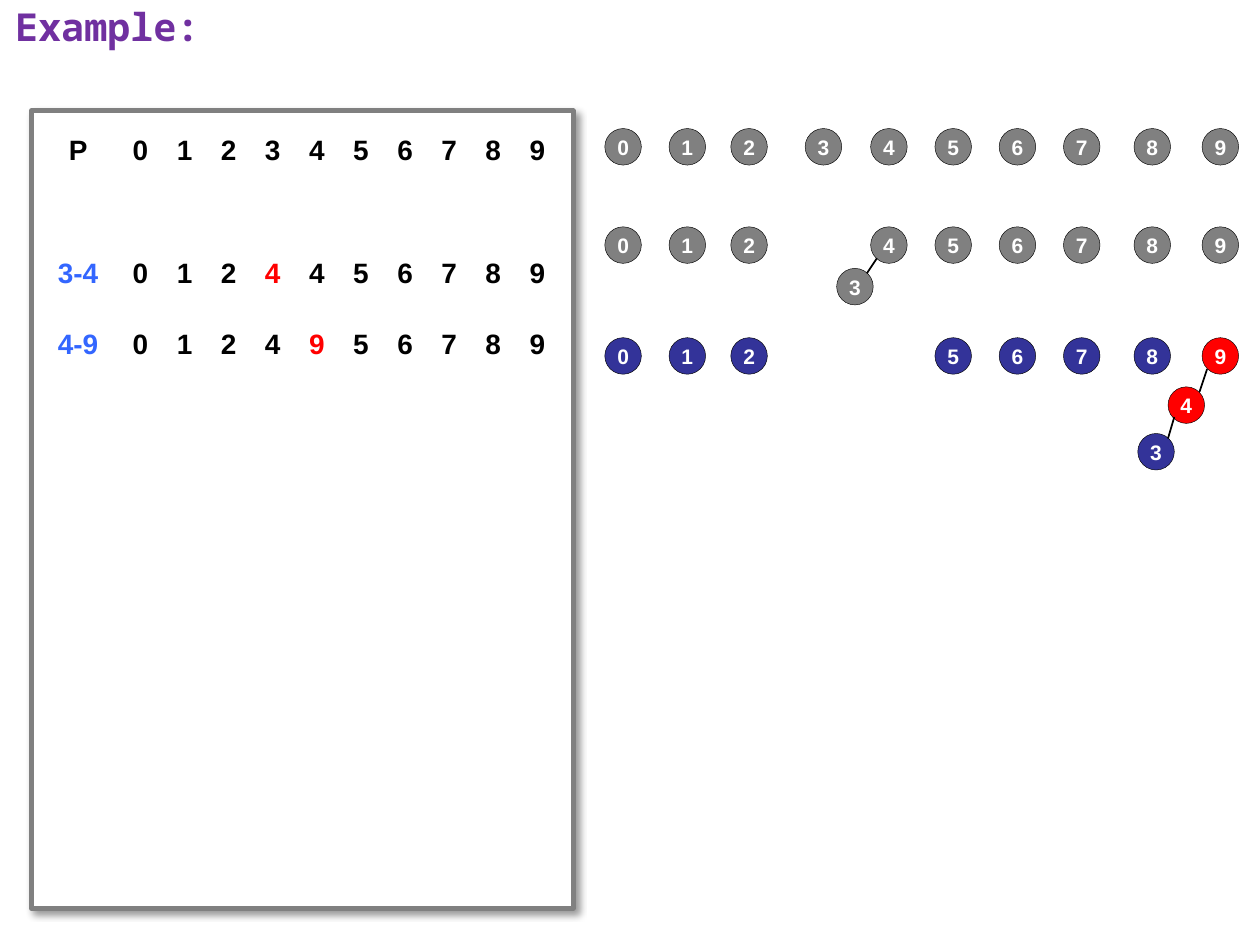
"""Build the quick-union example slide: parent table beside its forest of trees."""
import pptx
import pptx.util
import pptx.dml.color
import pptx.enum.shapes
import pptx.enum.text
import pptx.oxml
import pptx.oxml.ns

Inches, Pt = pptx.util.Inches, pptx.util.Pt
RGB = pptx.dml.color.RGBColor.from_string
ALIGN, ANCHOR = pptx.enum.text.PP_ALIGN, pptx.enum.text.MSO_ANCHOR
SHAPE = pptx.enum.shapes.MSO_SHAPE

THEME = {
    "title_font": "Noto Sans Mono", "font": "Arial",
    "title_size": 22, "table_size": 16, "node_size": 12,
    "title": "7030A0", "text": "000000", "union": "3366FF", "changed": "FF0000",
    "gray": "808080", "blue": "333399", "white": "FFFFFF",
}

TITLE = "Example:"
TABLE_ROWS = [
    ("P", "0123456789", None),
    None,
    ("3-4", "0124456789", 3),
    ("4-9", "0124956789", 4),
]
ROW_HEIGHTS = [0.57, 0.14, 0.57, 0.57]
COL_WIDTHS = [0.64] + [0.35] * 10

NODE = 0.29
NODE_X = [4.8, 5.31, 5.8, 6.39, 6.91, 7.42, 7.93, 8.44, 9, 9.54]
FORESTS = [
    {"top": 1.02, "color": "gray", "moved": {}, "changed": (), "edges": []},
    {"top": 1.8, "color": "gray", "moved": {3: (6.64, 2.13)}, "changed": (),
     "edges": [(6.88, 2.17, 6.96, 2.05)]},
    {"top": 2.68, "color": "blue", "moved": {4: (9.27, 3.07), 3: (9.03, 3.44)},
     "changed": (4, 9),
     "edges": [(9.27, 3.48, 9.32, 3.31), (9.52, 3.11, 9.58, 2.93)]},
]


def write(tf, text, *, size, color="text", font="font", align=ALIGN.CENTER):
    p = tf.paragraphs[0]
    p.alignment = align
    r = p.add_run()
    r.text = text
    r.font.name = THEME[font]
    r.font.size = Pt(THEME[size])
    r.font.bold = True
    r.font.color.rgb = RGB(THEME[color])


def add_shape(s, kind, box, fill, line, width):
    sp = s.shapes.add_shape(kind, *map(Inches, box))
    sp.shadow.inherit = False
    sp.fill.solid()
    sp.fill.fore_color.rgb = RGB(THEME[fill])
    sp.line.color.rgb = RGB(THEME[line])
    sp.line.width = Pt(width)
    return sp


def add_title(s):
    sp = s.shapes.title
    sp.left, sp.top, sp.width, sp.height = map(Inches, (0.02, -0.03, 10.21, 6.41))
    tf = sp.text_frame
    tf.word_wrap = True
    tf.auto_size = pptx.enum.text.MSO_AUTO_SIZE.NONE
    tf.vertical_anchor = ANCHOR.TOP
    write(tf, TITLE, size="title_size", color="title", font="title_font", align=ALIGN.LEFT)


def add_panel(s):
    sp = add_shape(s, SHAPE.RECTANGLE, (0.25, 0.88, 4.3, 6.33), "white", "gray", 2.75)
    effects = sp._element.spPr.find(pptx.oxml.ns.qn("a:effectLst"))
    effects.append(pptx.oxml.parse_xml(
        f'<a:outerShdw {pptx.oxml.ns.nsdecls("a")} blurRad="{Pt(4)}" dist="{Pt(3)}" '
        'dir="2700000" algn="tl" rotWithShape="0"><a:srgbClr val="000000">'
        '<a:alpha val="40000"/></a:srgbClr></a:outerShdw>'))


def add_parent_table(s):
    box = (0.3, 0.91, sum(COL_WIDTHS), sum(ROW_HEIGHTS))
    table = s.shapes.add_table(len(ROW_HEIGHTS), len(COL_WIDTHS), *map(Inches, box)).table
    table.first_row = table.horz_banding = False
    for col, width in zip(table.columns, COL_WIDTHS):
        col.width = Inches(width)
    for row, height, content in zip(table.rows, ROW_HEIGHTS, TABLE_ROWS):
        row.height = Inches(height)
        for cell in row.cells:
            cell.fill.background()
            cell.vertical_anchor = ANCHOR.MIDDLE
        if content:
            label, parents, changed = content
            colors = ["text" if label == "P" else "union"]
            colors += ["changed" if i == changed else "text" for i in range(len(parents))]
            for cell, text, color in zip(row.cells, [label, *parents], colors):
                write(cell.text_frame, text, size="table_size", color=color)


def add_node(s, number, x, y, color):
    sp = add_shape(s, SHAPE.OVAL, (x, y, NODE, NODE), color, "text", 0.25)
    tf = sp.text_frame
    tf.margin_left = tf.margin_right = tf.margin_top = tf.margin_bottom = 0
    tf.word_wrap = False
    tf.vertical_anchor = ANCHOR.MIDDLE
    write(tf, str(number), size="node_size", color="white")


def add_edge(s, ends):
    line = s.shapes.add_connector(
        pptx.enum.shapes.MSO_CONNECTOR.STRAIGHT, *map(Inches, ends))
    line.line.color.rgb = RGB(THEME["text"])
    line.line.width = Pt(1)
    line._element.spPr.append(pptx.oxml.parse_xml(
        f'<a:effectLst {pptx.oxml.ns.nsdecls("a")}/>'))


def add_forest(s, forest):
    for number, column in enumerate(NODE_X):
        x, y = forest["moved"].get(number, (column, forest["top"]))
        color = "changed" if number in forest["changed"] else forest["color"]
        add_node(s, number, x, y, color)
    for ends in forest["edges"]:
        add_edge(s, ends)


def main():
    prs = pptx.Presentation()
    prs.slide_width, prs.slide_height = Inches(10), Inches(7.5)
    s = prs.slides.add_slide(prs.slide_layouts[5])
    add_title(s)
    add_panel(s)
    add_parent_table(s)
    for forest in FORESTS:
        add_forest(s, forest)
    prs.save("out.pptx")


if __name__ == "__main__":
    main()
